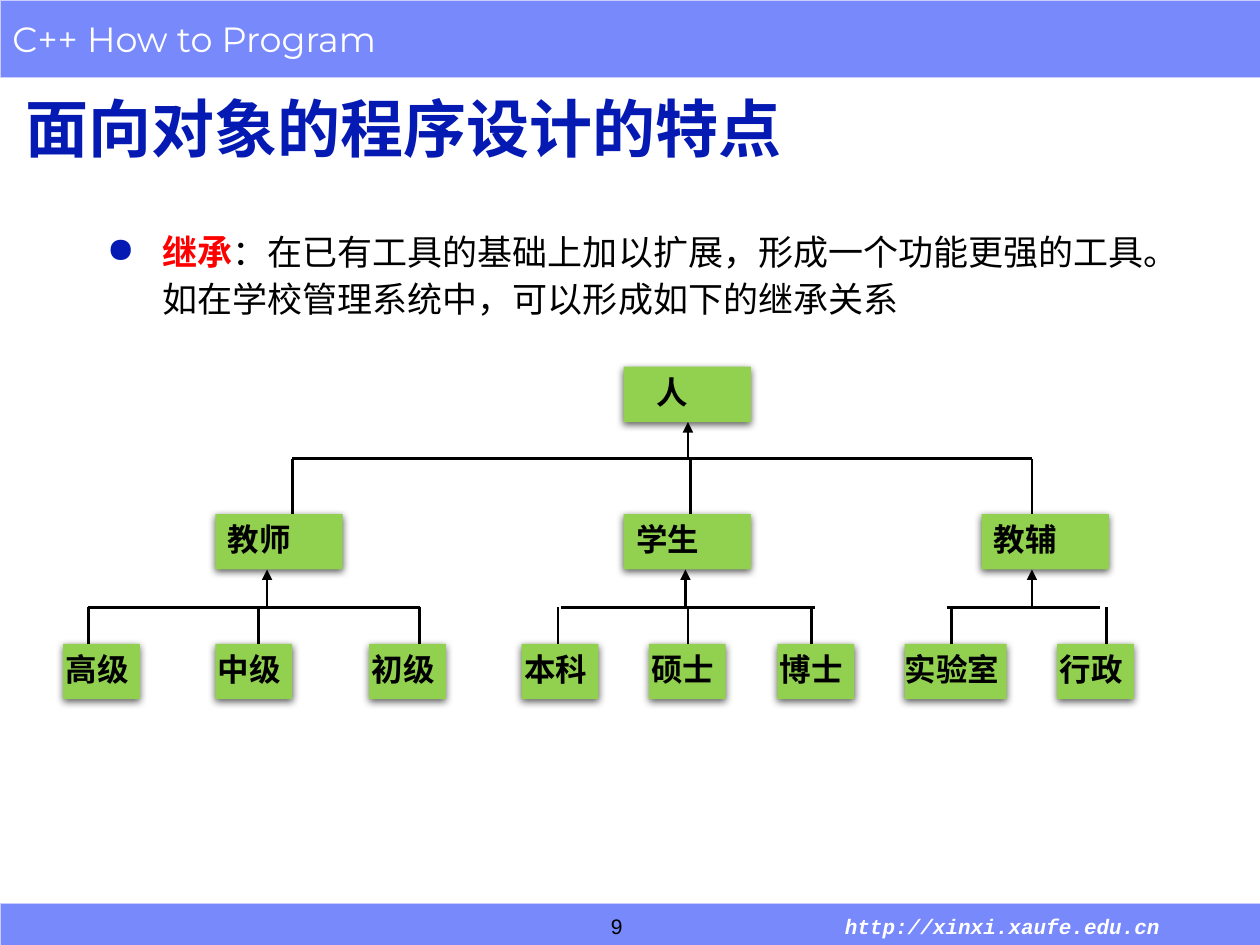
from pptx import Presentation
from pptx.util import Inches, Pt
from pptx.dml.color import RGBColor
from pptx.enum.shapes import MSO_CONNECTOR, MSO_SHAPE
from pptx.enum.text import MSO_ANCHOR, MSO_AUTO_SIZE, PP_ALIGN
from pptx.oxml import parse_xml
from pptx.oxml.ns import nsdecls, qn
from lxml.etree import SubElement

COLORS = {
    "bar": "7889FB", "edge": "CCCCFF", "title": "051AB3", "accent": "FF0000",
    "node": "92D050", "ink": "000000", "paper": "FFFFFF",
}
deck = Presentation()
deck.slide_width, deck.slide_height = Inches(10), Inches(7.5)
page = deck.slides.add_slide(deck.slide_layouts[5])
column, row = deck.slide_width / 100, deck.slide_height / 75


def add_span(para, text, size, font, color, bold=False, italic=False):
    span = para.add_run()
    span.text = text
    span.font.size, span.font.name = Pt(size), font
    span.font.bold, span.font.italic = bold, italic
    span.font.color.rgb = RGBColor.from_string(COLORS[color])
    SubElement(span.font._element, qn("a:ea"), typeface="Noto Sans CJK SC")


def add_line(x1, y1, x2, y2, arrow=False):
    line = page.shapes.add_connector(
        MSO_CONNECTOR.STRAIGHT, round(x1 * column), round(y1 * row), round(x2 * column), round(y2 * row))
    line.line.color.rgb = RGBColor.from_string(COLORS["ink"])
    line.line.width = Pt(1.5)
    if arrow:
        SubElement(line.line._get_or_add_ln(), qn("a:tailEnd"), type="triangle")
    SubElement(line._element.spPr, qn("a:effectLst"))


bars = []
for top, height in [(71.7, 3.3), (0, 6.1)]:
    bar = page.shapes.add_shape(
        MSO_SHAPE.RECTANGLE, 0, round(top * row), deck.slide_width, round(height * row))
    bar.shadow.inherit = False
    bar.fill.solid()
    bar.fill.fore_color.rgb = RGBColor.from_string(COLORS["bar"])
    bar.line.color.rgb = RGBColor.from_string(COLORS["edge"])
    bar.line.width = Pt(0.25)
    bars.append(bar)

header = bars[1].text_frame
header.vertical_anchor = MSO_ANCHOR.MIDDLE
header.paragraphs[0].alignment = PP_ALIGN.LEFT
add_span(header.paragraphs[0], "C++ How to Program", 20, "Montserrat", "paper")

title = page.shapes.title
title.left, title.top = round(column), round(6.8 * row)
title.width, title.height = round(95.7 * column), round(7.3 * row)
title.text_frame.auto_size = MSO_AUTO_SIZE.NONE
title.text_frame.vertical_anchor = MSO_ANCHOR.MIDDLE
para = title.text_frame.paragraphs[0]
para.alignment, para.line_spacing = PP_ALIGN.LEFT, 0.9
add_span(para, "面向对象的程序设计的特点", 36, "Arial Narrow", "title", bold=True)

text_boxes = [
    (65.8, 72, 27.5, 3, PP_ALIGN.CENTER,
     [("http://xinxi.xaufe.edu.cn", 12, "Courier New", "paper", True, True)]),
    (47.5, 72, 4.2, 2.7, PP_ALIGN.LEFT, [("9", 12, "Arial", "ink")]),
    (7.5, 17.5, 85, 8.3, PP_ALIGN.LEFT, [
        ("继承", 20, "Noto Sans CJK SC", "accent", True),
        ("：在已有工具的基础上加以扩展，形成一个功能更强的工具。如在学校管理系统中，可以形成如下的继承关系",
         20, "Noto Sans CJK SC", "ink")]),
]
for left, top, width, height, alignment, spans in text_boxes:
    box = page.shapes.add_textbox(
        round(left * column), round(top * row), round(width * column), round(height * row))
    box.text_frame.word_wrap = True
    para = box.text_frame.paragraphs[0]
    para.alignment = alignment
    for span in spans:
        add_span(para, *span)

para.line_spacing = 1.1
bullet = para._p.get_or_add_pPr()
bullet.set("marL", str(round(4.4 * column)))
bullet.set("indent", str(round(-4.4 * column)))
bullet_color = SubElement(bullet, qn("a:buClr"))
SubElement(bullet_color, qn("a:srgbClr"), val=COLORS["title"])
SubElement(bullet, qn("a:buChar"), char="●")

node_rows = [
    (29.1, 1, [("人", 49.5, 10.1)]),
    (40.8, 1, [("教师", 17.1, 10.1), ("学生", 49.5, 10.1), ("教辅", 77.9, 10.1)]),
    (51.1, 0.2, [
        ("高级", 5, 6.1), ("中级", 17.1, 6.1), ("初级", 29.3, 6.1), ("本科", 41.4, 6.1),
        ("硕士", 51.5, 6.1), ("博士", 61.7, 6.1), ("实验室", 71.8, 8.1), ("行政", 83.9, 6.1)]),
]
for top, inset, nodes in node_rows:
    for name, left, width in nodes:
        node = page.shapes.add_shape(
            MSO_SHAPE.RECTANGLE, round(left * column), round(top * row),
            round(width * column), round(4.4 * row))
        node.fill.solid()
        node.fill.fore_color.rgb = RGBColor.from_string(COLORS["node"])
        node.line.fill.background()
        node._element.spPr.append(parse_xml(
            f'<a:effectLst {nsdecls("a")}><a:outerShdw blurRad="{Pt(4.5)}" dist="{Pt(1.5)}" '
            f'dir="5400000" rotWithShape="0"><a:srgbClr val="{COLORS["ink"]}">'
            '<a:alpha val="63000"/></a:srgbClr></a:outerShdw></a:effectLst>'))
        frame = node.text_frame
        frame.word_wrap = True
        frame.vertical_anchor = MSO_ANCHOR.TOP
        side = 0 if name == "实验室" else inset
        frame.margin_left = frame.margin_right = round(side * column)
        para = frame.paragraphs[0]
        para.alignment = PP_ALIGN.JUSTIFY
        if name == "人":
            para._p.get_or_add_pPr().set("marL", str(round(1.6 * column)))
        add_span(para, name, 18, "Times New Roman", "ink", bold=True)

branches = [
    (23.2, 81.9, 36.4, 40.8, 33.5, 54.6, [23.2, 54.8, 81.9]),
    (7, 33.3, 48.2, 51.1, 45.2, 21.2, [7, 20.5, 33.3]),
    (44.5, 64.7, 48.2, 51.1, 45.2, 54.4, [44.3, 54.6, 64.4]),
    (75.2, 87.3, 48.2, 51.1, 45.2, 81.9, [75.5, 87.8]),
]
for left, right, level, child_top, parent_bottom, parent, children in branches:
    add_line(left, level, right, level)
    for child in children:
        add_line(child, level, child, child_top)
    add_line(parent, level, parent, parent_bottom, arrow=True)

deck.save("out.pptx")
